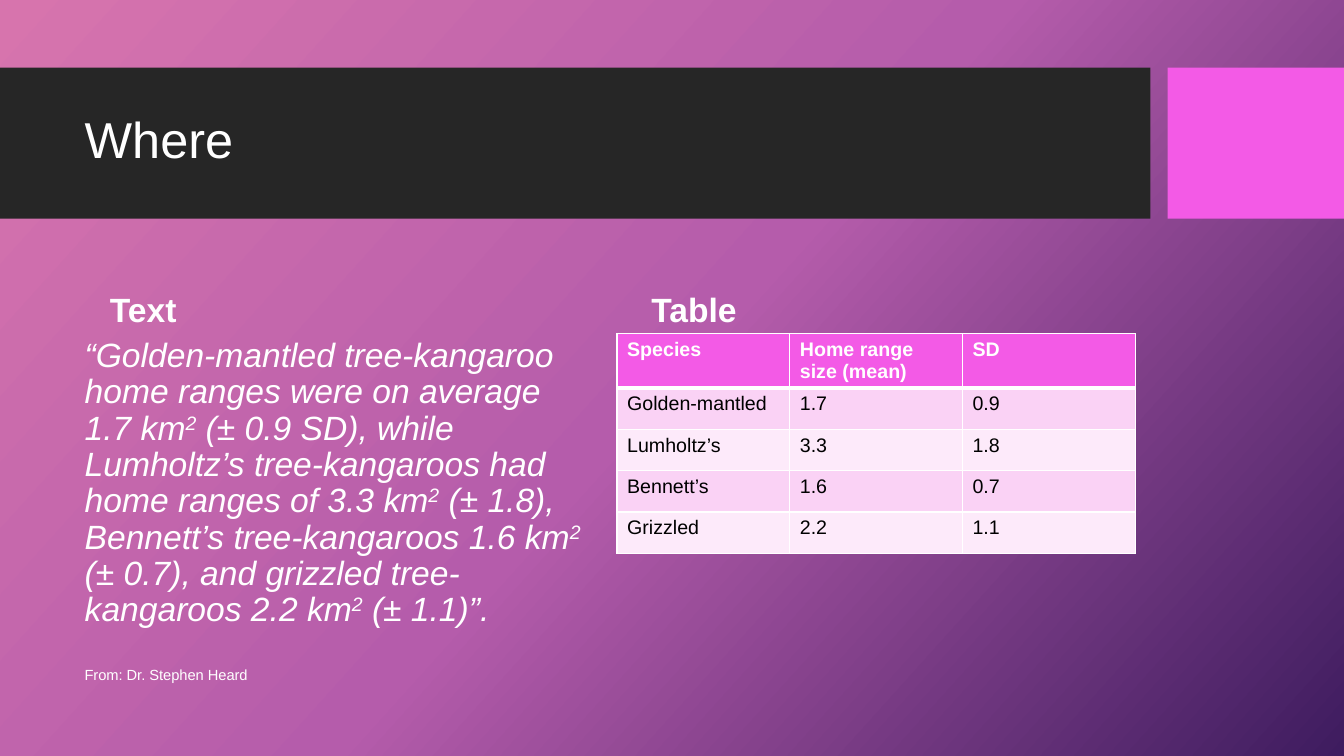
from dataclasses import dataclass

import copy
import pptx
import pptx.util
import pptx.dml.color
import pptx.enum.shapes
import pptx.enum.text
import pptx.oxml
import pptx.oxml.ns

Inches = pptx.util.Inches
Pt = pptx.util.Pt
RGBColor = pptx.dml.color.RGBColor
Anchor = pptx.enum.text.MSO_ANCHOR
qn = pptx.oxml.ns.qn

WHITE = RGBColor(0xFF, 0xFF, 0xFF)
BLACK = RGBColor(0, 0, 0)
DARK = RGBColor(0x26, 0x26, 0x26)
PINK = RGBColor(0xF3, 0x5A, 0xE6)
BANDS = (RGBColor(0xFD, 0xEA, 0xFA), RGBColor(0xFA, 0xD2, 0xF5))
STOPS = (
    (0, RGBColor(0xD7, 0x74, 0xAD)),
    (0.5, RGBColor(0xB5, 0x5C, 0xAB)),
    (1, RGBColor(0x3E, 0x1C, 0x5F)),
)

QUOTE = (
    "“Golden-mantled tree-kangaroo home ranges were on average 1.7 km^2^ (± 0.9 SD), "
    "while Lumholtz’s tree-kangaroos had home ranges of 3.3 km^2^ (± 1.8), "
    "Bennett’s tree-kangaroos 1.6 km^2^ (± 0.7), "
    "and grizzled tree-kangaroos 2.2 km^2^ (± 1.1)”."
)
ROWS = (
    ("Species", "Home range size (mean)", "SD"),
    ("Golden-mantled", "1.7", "0.9"),
    ("Lumholtz’s", "3.3", "1.8"),
    ("Bennett’s", "1.6", "0.7"),
    ("Grizzled", "2.2", "1.1"),
)


@dataclass
class Box:
    left: float
    top: float
    width: float
    height: float

    def size(self) -> tuple:
        return tuple(map(Inches, (self.left, self.top, self.width, self.height)))


@dataclass
class Panel:
    box: Box
    color: RGBColor


@dataclass
class Holder:
    index: int
    box: Box
    text: str
    size: float = 24
    anchor: Anchor = Anchor.MIDDLE
    bold: bool = False
    italic: bool = False


PANELS = (
    Panel(Box(0, 0.67, 11.41, 1.5), DARK),
    Panel(Box(11.58, 0.67, 1.75, 1.5), PINK),
)
HOLDERS = (
    Holder(0, Box(0.74, 0.82, 10.51, 1.18), "Where", size=36),
    Holder(1, Box(0.99, 2.56, 4.89, 0.76), "Text", anchor=Anchor.BOTTOM, bold=True),
    Holder(2, Box(0.74, 3.31, 5.14, 3.18), QUOTE, anchor=Anchor.TOP, italic=True),
    Holder(3, Box(6.36, 2.56, 4.89, 0.76), "Table", anchor=Anchor.BOTTOM, bold=True),
)
GRID = Box(6.12, 3.31, 5.14, 2.18)
CREDIT = Box(0.74, 6.49, 7.51, 0.4)


def write(frame, text: str, *, size: float, color: RGBColor = WHITE,
          bold: bool = False, italic: bool = False, line: float = 1.0) -> None:
    """Fill a frame with one paragraph; text between ^ marks is raised."""
    frame.word_wrap = True
    para = frame.paragraphs[0]
    props = para._p.get_or_add_pPr()
    props.set("marL", "0")
    props.set("indent", "0")
    props.append(pptx.oxml.parse_xml(f"<a:buNone {pptx.oxml.ns.nsdecls('a')}/>"))
    para.alignment = pptx.enum.text.PP_ALIGN.LEFT
    para.line_spacing = line
    para.space_before = Pt(0)
    for num, part in enumerate(text.split("^")):
        run = para.add_run()
        run.text = part
        font = run.font
        font.name, font.size = "Arial", Pt(size)
        font.bold, font.italic = bold, italic
        font.color.rgb = color
        if num % 2:
            font._element.set("baseline", "30000")


def paint(slide) -> None:
    """Give the slide its three-stop diagonal gradient."""
    fill = slide.background.fill
    fill.gradient()
    fill.gradient_angle = 318
    stops = slide.element.find(".//" + qn("a:gsLst"))
    stops.append(copy.deepcopy(stops[0]))
    for stop, (place, color) in zip(fill.gradient_stops, STOPS):
        stop.position = place
        stop.color.rgb = color


def edge(cell, base: float) -> None:
    """Draw white cell borders, the lower one as wide as base."""
    props = cell._tc.get_or_add_tcPr()
    for spot, (side, width) in enumerate(zip("LRTB", (1, 1, 1, base))):
        props.insert(spot, pptx.oxml.parse_xml(
            f'<a:ln{side} {pptx.oxml.ns.nsdecls("a")} w="{Pt(width)}">'
            f'<a:solidFill><a:srgbClr val="{WHITE}"/></a:solidFill></a:ln{side}>'))


def add_grid(slide) -> None:
    table = slide.shapes.add_table(len(ROWS), len(ROWS[0]), *GRID.size()).table
    for col in table.columns:
        col.width = Inches(GRID.width / len(ROWS[0]))
    for num, row in enumerate(ROWS):
        head = num == 0
        table.rows[num].height = Inches(0.54 if head else 0.41)
        for pos, text in enumerate(row):
            cell = table.cell(num, pos)
            cell.fill.solid()
            cell.fill.fore_color.rgb = PINK if head else BANDS[num % 2]
            edge(cell, 3 if num < 2 and head else 1)
            write(cell.text_frame, text, size=14, bold=head,
                  color=WHITE if head else BLACK)


def add_panel(slide, panel: Panel) -> None:
    kind = pptx.enum.shapes.MSO_SHAPE.RECTANGLE
    shape = slide.shapes.add_shape(kind, *panel.box.size())
    shape.shadow.inherit = False
    shape.fill.solid()
    shape.fill.fore_color.rgb = panel.color
    shape.line.fill.background()
    slide.shapes._spTree.insert(2, shape._element)


def fill_holder(slide, item: Holder) -> None:
    shape = slide.placeholders[item.index]
    shape.left, shape.top, shape.width, shape.height = item.box.size()
    frame = shape.text_frame
    frame.auto_size = pptx.enum.text.MSO_AUTO_SIZE.NONE
    frame.vertical_anchor = item.anchor
    write(frame, item.text, size=item.size, bold=item.bold,
          italic=item.italic, line=0.9)


def main() -> None:
    deck = pptx.Presentation()
    deck.slide_width, deck.slide_height = Inches(13.33), Inches(7.5)
    slide = deck.slides.add_slide(deck.slide_layouts[4])
    paint(slide)
    spare = slide.placeholders[4]._element
    spare.getparent().remove(spare)
    for panel in PANELS:
        add_panel(slide, panel)
    for item in HOLDERS:
        fill_holder(slide, item)
    add_grid(slide)
    credit = slide.shapes.add_textbox(*CREDIT.size()).text_frame
    credit.vertical_anchor = Anchor.MIDDLE
    write(credit, "From: Dr. Stephen Heard", size=10.5)
    deck.save("out.pptx")


if __name__ == "__main__":
    main()
